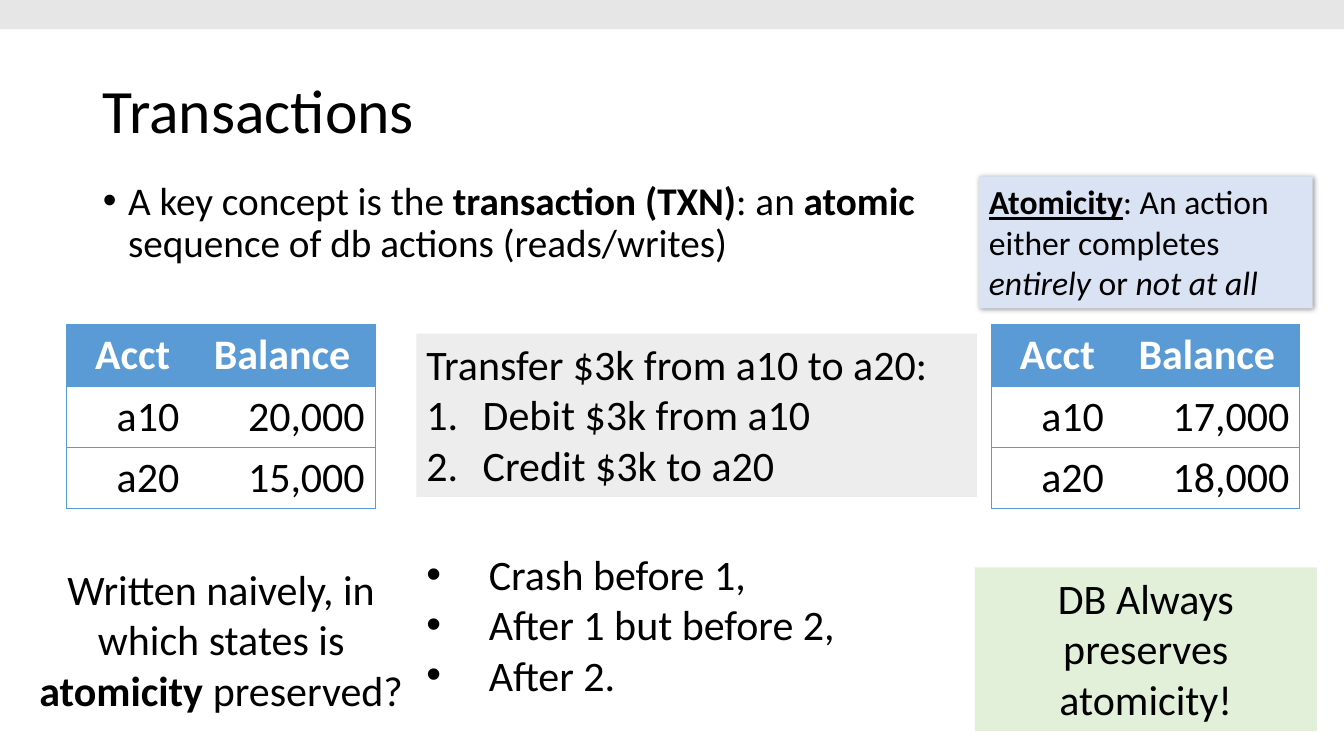
from lxml.etree import SubElement
from pptx import Presentation
from pptx.dml.color import RGBColor
from pptx.enum.shapes import MSO_SHAPE
from pptx.enum.text import MSO_ANCHOR, MSO_AUTO_SIZE, PP_ALIGN
from pptx.oxml.ns import qn
from pptx.util import Inches, Pt

BLACK = RGBColor(0x00, 0x00, 0x00)
WHITE = RGBColor(0xFF, 0xFF, 0xFF)
BLUE = RGBColor(0x5B, 0x9B, 0xD5)
PALE_BLUE = RGBColor(0xDA, 0xE3, 0xF3)
BAND_GRAY = RGBColor(0xE7, 0xE6, 0xE6)
PALE_GRAY = RGBColor(0xED, 0xED, 0xED)
PALE_GREEN = RGBColor(0xE2, 0xF0, 0xD9)

FONT = "Calibri"
TITLE = [[("Transactions", "")]]
CONCEPT = [[("A key concept is the ", ""), ("transaction (TXN)", "b"), (": an ", ""),
            ("atomic ", "b"), ("sequence of db actions (reads/writes)", "")]]
ATOMICITY = [[("Atomicity", "bu"), (": An action either completes ", ""),
              ("entirely", "i"), (" or ", ""), ("not at all", "i")]]
TRANSFER = [[("Transfer $3k from a10 to a20:", "")],
            [("Debit $3k from a10", "")],
            [("Credit $3k to a20", "")]]
CRASHES = [[("Crash before 1,", "")], [("After 1 but before 2,", "")], [("After 2.", "")]]
QUESTION = [[("Written naively, in which states is ", ""), ("atomicity", "b"),
             (" preserved?", "")]]
ANSWER = [[("DB Always preserves atomicity!", "")]]

HEADER = (" Acct", "Balance")
BALANCES = [
    (0.66, [("a10", "20,000"), ("a20", "15,000")]),
    (9.83, [("a10", "17,000"), ("a20", "18,000")]),
]
TABLE_TOP, ROW_HEIGHT = 3.22, 0.6
COLUMN_WIDTHS = (1.22, 1.84)


def place(shape, box):
    """Move a shape to a left, top, width, height box in inches."""
    shape.left, shape.top, shape.width, shape.height = (Inches(value) for value in box)


def add_run(paragraph, text, size, style="", color=BLACK):
    """Add one run; style letters are b, i and u."""
    run = paragraph.add_run()
    run.text = text
    font = run.font
    font.name, font.size, font.color.rgb = FONT, Pt(size), color
    font.bold, font.italic, font.underline = (letter in style for letter in "biu")


def write(shape, paragraphs, size, align=PP_ALIGN.LEFT):
    """Fill a text frame with wrapped paragraphs of styled runs."""
    frame = shape.text_frame
    frame.word_wrap = True
    frame.auto_size = MSO_AUTO_SIZE.NONE
    for index, runs in enumerate(paragraphs):
        paragraph = frame.add_paragraph() if index else frame.paragraphs[0]
        paragraph.alignment = align
        for text, style in runs:
            add_run(paragraph, text, size, style)
    return frame.paragraphs


def set_bullet(paragraph, indent, numbered=False):
    """Give a paragraph a hanging bullet or number."""
    properties = paragraph._p.get_or_add_pPr()
    properties.set("marL", str(Inches(indent)))
    properties.set("indent", str(-Inches(indent)))
    if numbered:
        SubElement(properties, qn("a:buFont"), typeface="+mj-lt")
        SubElement(properties, qn("a:buAutoNum"), type="arabicPeriod")
    else:
        SubElement(properties, qn("a:buFont"), typeface="Arial")
        SubElement(properties, qn("a:buChar"), char="•")


def add_box(slide, box, fill):
    """Add a flat filled rectangle with top-anchored text."""
    shape = slide.shapes.add_shape(MSO_SHAPE.RECTANGLE, *(Inches(value) for value in box))
    shape.shadow.inherit = False
    shape.fill.solid()
    shape.fill.fore_color.rgb = fill
    shape.line.fill.background()
    shape.text_frame.vertical_anchor = MSO_ANCHOR.TOP
    return shape


def add_shadow(shape):
    """Put a soft drop shadow under a shape."""
    effects = shape._element.spPr.find(qn("a:effectLst"))
    shadow = SubElement(effects, qn("a:outerShdw"), blurRad=str(Pt(4)), dist=str(Pt(1)),
                        dir="2700000", algn="tl", rotWithShape="0")
    color = SubElement(shadow, qn("a:srgbClr"), val=str(BLACK))
    SubElement(color, qn("a:alpha"), val="40000")


def set_borders(cell, visible):
    """Draw thin blue lines on the named sides and none elsewhere."""
    properties = cell._tc.get_or_add_tcPr()
    for side in "LRTB":
        line = SubElement(properties, qn(f"a:ln{side}"), w=str(Pt(0.5)))
        if side in visible:
            fill = SubElement(line, qn("a:solidFill"))
            SubElement(fill, qn("a:srgbClr"), val=str(BLUE))
        else:
            SubElement(line, qn("a:noFill"))


def add_balance_table(slide, left, accounts):
    """Add an account table with a blue header row."""
    rows = [HEADER, *accounts]
    frame = slide.shapes.add_table(
        len(rows), len(HEADER), Inches(left), Inches(TABLE_TOP),
        Inches(sum(COLUMN_WIDTHS)), Inches(ROW_HEIGHT * len(rows)))
    table = frame.table
    table.horz_banding = False
    for column, width in zip(table.columns, COLUMN_WIDTHS):
        column.width = Inches(width)
    for row_index, values in enumerate(rows):
        is_header = row_index == 0
        for column_index, value in enumerate(values):
            cell = table.cell(row_index, column_index)
            set_borders(cell, "TB" + "LR"[column_index])
            if is_header:
                cell.fill.solid()
                cell.fill.fore_color.rgb = BLUE
            else:
                cell.fill.background()
            paragraph = cell.text_frame.paragraphs[0]
            paragraph.alignment = PP_ALIGN.CENTER if is_header else PP_ALIGN.RIGHT
            add_run(paragraph, value, 30, "b" if is_header else "",
                    WHITE if is_header else BLACK)


def main():
    """Build the transactions slide."""
    presentation = Presentation()
    presentation.slide_width, presentation.slide_height = Inches(13.33), Inches(7.5)
    slide = presentation.slides.add_slide(presentation.slide_layouts[1])

    title, body = slide.placeholders
    place(title, (0.92, 0.4, 11.5, 1.45))
    title.text_frame.vertical_anchor = MSO_ANCHOR.MIDDLE
    write(title, TITLE, 44)[0].line_spacing = 0.9

    place(body, (0.92, 1.75, 8.39, 5.34))
    concept = write(body, CONCEPT, 28)[0]
    concept.line_spacing, concept.space_before = 0.9, Pt(10)
    set_bullet(concept, 0.25)

    definition = add_box(slide, (9.71, 1.75, 3.31, 1.31), PALE_BLUE)
    add_shadow(definition)
    write(definition, ATOMICITY, 24)

    add_box(slide, (0, 0, 13.33, 0.29), BAND_GRAY)

    for left, accounts in BALANCES:
        add_balance_table(slide, left, accounts)

    transfer = add_box(slide, (4.13, 3.31, 5.56, 1.62), PALE_GRAY)
    for step in write(transfer, TRANSFER, 30)[1:]:
        set_bullet(step, 0.56, numbered=True)

    crashes = slide.shapes.add_textbox(Inches(4.13), Inches(5.39), Inches(5.43), Inches(1.62))
    for crash in write(crashes, CRASHES, 30):
        set_bullet(crash, 0.62)

    question = slide.shapes.add_textbox(Inches(0.21), Inches(5.54), Inches(3.97), Inches(1.62))
    write(question, QUESTION, 30, PP_ALIGN.CENTER)

    answer = add_box(slide, (9.67, 5.63, 3.39, 1.62), PALE_GREEN)
    write(answer, ANSWER, 30, PP_ALIGN.CENTER)

    presentation.save("out.pptx")


if __name__ == "__main__":
    main()
